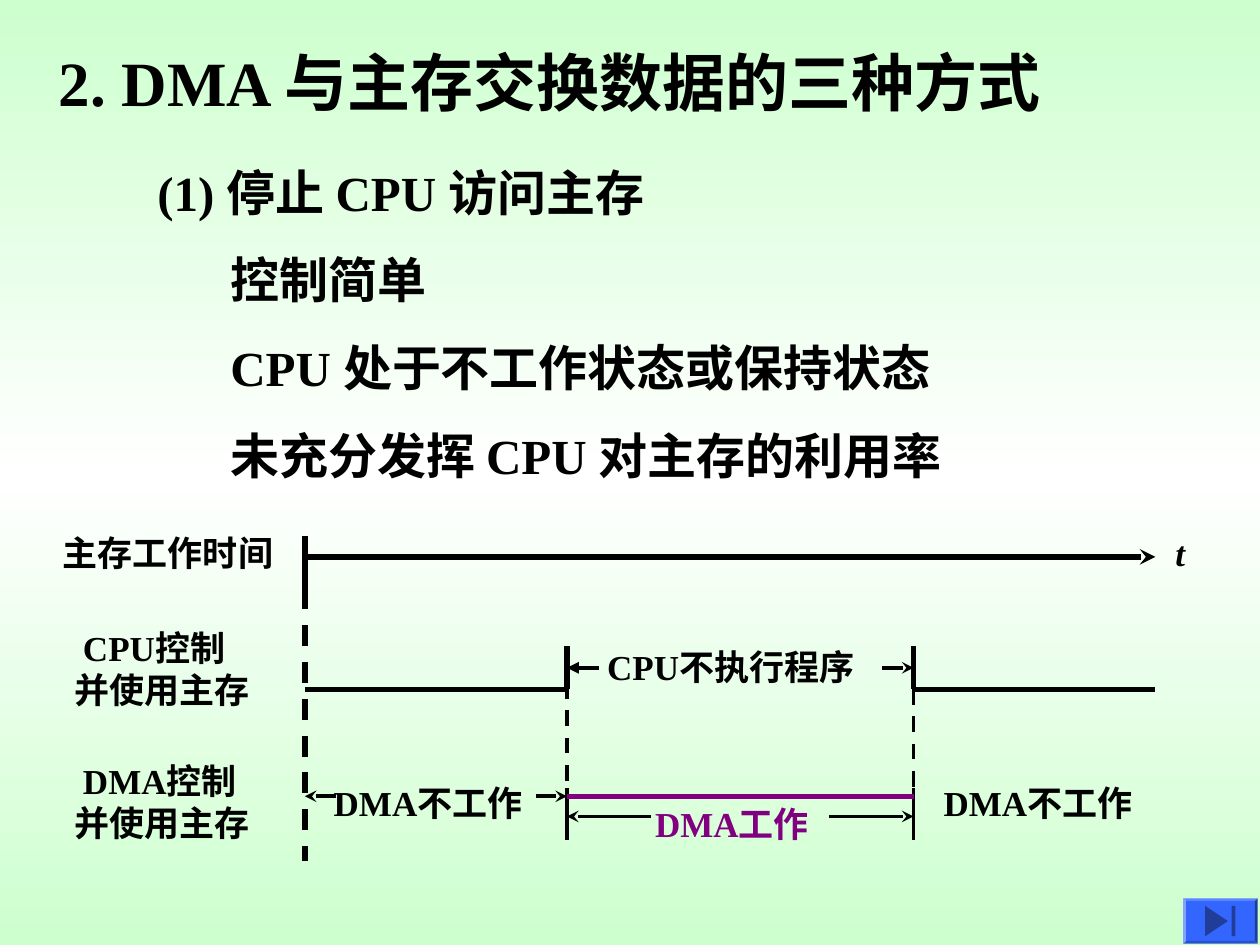
from copy import deepcopy

from pptx import Presentation
from pptx.dml.color import RGBColor
from pptx.enum.dml import MSO_LINE
from pptx.enum.shapes import MSO_CONNECTOR, MSO_SHAPE
from pptx.enum.text import MSO_AUTO_SIZE
from pptx.oxml.ns import qn
from pptx.util import Inches, Pt
from lxml import etree

BLACK = RGBColor(0x00, 0x00, 0x00)
PURPLE = RGBColor(0x80, 0x00, 0x80)
GREEN = RGBColor(0xCD, 0xFF, 0xCE)
WHITE = RGBColor(0xFF, 0xFF, 0xFF)
BLUE = RGBColor(0x33, 0x66, 0xFF)
DARK_BLUE = RGBColor(0x1F, 0x3D, 0x99)
FONT = "Times New Roman"
STRAIGHT = MSO_CONNECTOR.STRAIGHT
DASH = MSO_LINE.DASH
FIT_SHAPE = MSO_AUTO_SIZE.SHAPE_TO_FIT_TEXT
BEVEL, RECTANGLE = MSO_SHAPE.BEVEL, MSO_SHAPE.RECTANGLE


def add_text(slide, left, top, width, height, lines, size,
             color=BLACK, italic=False, wrap=False, first_indent=0):
    box = slide.shapes.add_textbox(Inches(left), Inches(top), Inches(width), Inches(height))
    frame = box.text_frame
    frame.word_wrap = wrap
    frame.auto_size = FIT_SHAPE
    frame.text = lines
    for paragraph in frame.paragraphs:
        font = paragraph.font
        font.name, font.size, font.bold = FONT, Pt(size), True
        font.italic = italic
        font.color.rgb = color
    if first_indent:
        properties = frame.paragraphs[0]._p.get_or_add_pPr()
        properties.set("indent", str(Inches(first_indent)))


def add_line(slide, start, end, width, color=BLACK, dash=None, arrow=None):
    connector = slide.shapes.add_connector(STRAIGHT, *map(Inches, start + end))
    line = connector.line
    line.width = Pt(width)
    line.color.rgb = color
    if dash:
        line.dash_style = dash
    if arrow:
        etree.SubElement(line._get_or_add_ln(), qn("a:tailEnd"), type=arrow)
    etree.SubElement(connector._element.spPr, qn("a:effectLst"))


def set_background(slide):
    fill = slide.background.fill
    fill.gradient()
    fill.gradient_angle = 90
    stop_list = slide.element.find(".//" + qn("a:gsLst"))
    stop_list.insert(1, deepcopy(stop_list[0]))
    for stop, position, color in zip(fill.gradient_stops, (0, 0.5, 1), (GREEN, WHITE, GREEN)):
        stop.position = position
        stop.color.rgb = color


def add_heading(slide, left, top):
    add_text(slide, left, top, 8.14, 0.7, "2. DMA 与主存交换数据的三种方式", 36)


def add_points(slide, left, top):
    points = [
        (0, 5.68, "(1) 停止 CPU 访问主存"),
        (0.58, 3.85, "控制简单"),
        (0.58, 6.43, "CPU 处于不工作状态或保持状态"),
        (0.58, 6.77, "未充分发挥 CPU 对主存的利用率"),
    ]
    for row, (indent, width, point) in enumerate(points):
        add_text(slide, left + indent, top + row * 0.695, width, 0.57, point, 28, wrap=True)


def add_timing_diagram(slide, left, top):
    # Moments on the time axis, and the levels of the three rows
    origin, dma_start, dma_end, axis_end = (left + x for x in (2.02, 4.1, 6.85, 8.77))
    time_y, cpu_y, dma_y = (top + y for y in (0.25, 1.3, 2.15))
    gap_y, work_y = cpu_y - 0.17, dma_y + 0.16

    # Time axis
    add_line(slide, (origin, top + 0.08), (origin, top + 0.5), 3)
    add_line(slide, (origin, top + 0.5), (origin, top + 2.66), 3, dash=DASH)
    add_line(slide, (origin, time_y), (axis_end, time_y), 3, arrow="stealth")

    # CPU active periods
    add_line(slide, (origin, cpu_y), (dma_start, cpu_y), 3)
    add_line(slide, (dma_end, cpu_y), (axis_end, cpu_y), 3)

    # Edges of the DMA period
    for edge, dash_top in ((dma_start, cpu_y - 0.05), (dma_end, cpu_y - 0.22)):
        add_line(slide, (edge, cpu_y - 0.34), (edge, cpu_y), 3)
        add_line(slide, (edge, dash_top), (edge, dma_y + 0.01), 2.25, dash=DASH)
        add_line(slide, (edge, dma_y - 0.07), (edge, dma_y + 0.35), 2.25)

    # DMA active period
    add_line(slide, (dma_start, dma_y), (dma_end, dma_y), 3, PURPLE)

    # Arrows out to the ends of each span
    spans = [
        (dma_start, dma_end, gap_y, 0.25, "triangle"),
        (origin, dma_start, dma_y, 0.25, "stealth"),
        (dma_start, dma_end, work_y, 0.67, "stealth"),
    ]
    for start, end, y, length, start_arrow in spans:
        add_line(slide, (start + length, y), (start, y), 2.25, arrow=start_arrow)
        add_line(slide, (end - length, y), (end, y), 2.25, arrow="stealth")

    # Row labels
    add_text(slide, left, top, 1.87, 0.44, "主存工作时间", 20)
    for unit, offset in (("CPU", 0.75), ("DMA", 1.81)):
        add_text(slide, left + 0.09, top + offset, 1.59, 0.77,
                 f"{unit}控制\n并使用主存", 20, first_indent=0.07)

    # Span labels
    add_text(slide, left + 4.32, top + 0.9, 2.23, 0.44, "CPU不执行程序", 20)
    for offset in (2.15, 6.99):
        add_text(slide, left + offset, top + 1.98, 1.82, 0.44, "DMA不工作", 20)
    add_text(slide, left + 4.7, top + 2.15, 1.52, 0.44, "DMA工作", 20, PURPLE)
    add_text(slide, left + 8.83, top, 0.27, 0.44, "t", 20, italic=True)


def add_end_button(slide, left, top, width, height):
    shapes = slide.shapes
    button = shapes.add_shape(BEVEL, Inches(left), Inches(top), Inches(width), Inches(height))
    button.adjustments[0] = 0.06

    # Triangle and bar, centred on the button
    middle_x, middle_y = left + width / 2, top + height / 2
    tip = (Inches(middle_x + 0.06), Inches(middle_y))
    back_x = Inches(middle_x - 0.12)
    builder = shapes.build_freeform(*tip)
    builder.add_line_segments([(back_x, Inches(middle_y + 0.12)),
                               (back_x, Inches(middle_y - 0.12))])
    triangle = builder.convert_to_shape()
    bar = shapes.add_shape(RECTANGLE, Inches(middle_x + 0.09), Inches(middle_y - 0.12),
                           Inches(0.03), Inches(0.24))

    for part, color in ((button, BLUE), (triangle, DARK_BLUE), (bar, DARK_BLUE)):
        part.shadow.inherit = False
        part.fill.solid()
        part.fill.fore_color.rgb = color
        part.line.fill.background()


def main():
    presentation = Presentation()
    presentation.slide_width, presentation.slide_height = Inches(10), Inches(7.5)
    slide = presentation.slides.add_slide(presentation.slide_layouts[6])
    set_background(slide)
    add_heading(slide, 0.37, 0.3)
    add_points(slide, 1.15, 1.24)
    add_timing_diagram(slide, 0.4, 4.17)
    add_end_button(slide, 9.39, 7.13, 0.59, 0.36)
    presentation.save("out.pptx")


if __name__ == "__main__":
    main()
